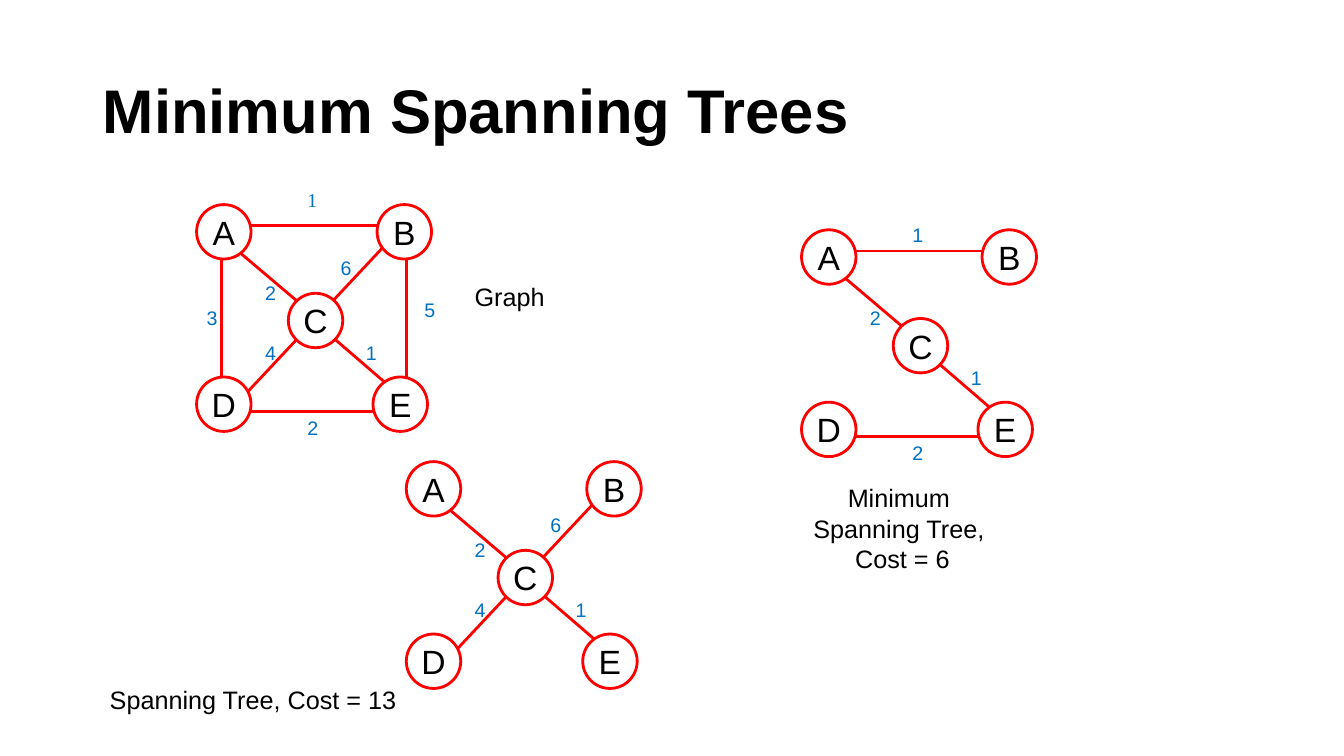
from pptx import Presentation
from pptx.dml.color import RGBColor
from pptx.enum.shapes import MSO_CONNECTOR, MSO_SHAPE
from pptx.enum.text import MSO_ANCHOR, MSO_AUTO_SIZE, PP_ALIGN
from pptx.oxml.ns import qn
from pptx.util import Inches, Pt
from lxml.etree import SubElement

COLORS = {"text": "000000", "weight": "0070C0", "line": "FF0000", "node": "FFFFFF"}
NODE_SIZE = 0.54

# Every drawing shares one layout, measured from the top left of node A.
NODES = {"A": (0, 0), "B": (1.79, 0), "C": (0.91, 0.88), "D": (0, 1.71), "E": (1.75, 1.71)}
# Edge: start, end, and its weights with their places; D-B runs behind C.
EDGES = {
    "CE": ((1.91, 1.8), (1.33, 1.3), [("1", 1.58, 1.3)]),
    "AB": ((0.5, 0.21), (1.81, 0.21), [("1", 1, -0.12)]),
    "AD": ((0.25, 1.78), (0.25, 0.46), [("3", 0, 0.96)]),
    "DB": ((0.41, 1.96), (1.89, 0.38), [("6", 1.33, 0.46), ("4", 0.58, 1.3)]),
    "AC": ((1, 0.96), (0.41, 0.46), [("2", 0.58, 0.71)]),
    "DE": ((0.5, 2.05), (1.81, 2.05), [("2", 1, 2.05)]),
    "BE": ((2.08, 1.86), (2.08, 0.55), [("5", 2.16, 0.88)]),
}


class GraphSlide:
    def __init__(self, deck):
        self.font = "Arial"
        self.slide = deck.slides.add_slide(deck.slide_layouts[5])

    def style_text(self, frame, size, color, align=PP_ALIGN.LEFT, bold=False, font=None):
        for para in frame.paragraphs:
            para.alignment = align
            for span in para.runs:
                span.font.name = font or self.font
                span.font.size = Pt(size)
                span.font.bold = bold
                span.font.color.rgb = RGBColor.from_string(COLORS[color])

    def style_line(self, line):
        line.color.rgb = RGBColor.from_string(COLORS["line"])
        line.width = Pt(2)

    def title(self, text, left, top, width, height):
        title = self.slide.shapes.title
        title.left, title.top = Inches(left), Inches(top)
        title.width, title.height = Inches(width), Inches(height)
        frame = title.text_frame
        frame.text = text
        frame.vertical_anchor = MSO_ANCHOR.MIDDLE
        frame.paragraphs[0].line_spacing = 0.9
        self.style_text(frame, 44, "text", bold=True)

    def label(self, text, left, top, width, height, size=18, color="text",
              align=PP_ALIGN.LEFT, font=None, shapes=None):
        box = (shapes or self.slide.shapes).add_textbox(
            Inches(left), Inches(top), Inches(width), Inches(height))
        frame = box.text_frame
        frame.text = text
        frame.word_wrap = False
        frame.auto_size = MSO_AUTO_SIZE.SHAPE_TO_FIT_TEXT
        self.style_text(frame, size, color, align, font=font)

    def edge(self, shapes, start, end):
        line = shapes.add_connector(MSO_CONNECTOR.STRAIGHT,
                                    *(Inches(value) for value in (*start, *end)))
        self.style_line(line.line)
        SubElement(line._element.spPr, qn("a:effectLst"))

    def node(self, shapes, name, left, top):
        circle = shapes.add_shape(MSO_SHAPE.OVAL, Inches(left), Inches(top),
                                  Inches(NODE_SIZE), Inches(NODE_SIZE))
        circle.shadow.inherit = False
        circle.fill.solid()
        circle.fill.fore_color.rgb = RGBColor.from_string(COLORS["node"])
        self.style_line(circle.line)
        frame = circle.text_frame
        frame.text = name
        frame.word_wrap = False
        frame.vertical_anchor = MSO_ANCHOR.MIDDLE
        self.style_text(frame, 24, "text", PP_ALIGN.CENTER)

    def graph(self, left, top, edges, special_weights=None):
        """Draw all nodes and the chosen edges; special_weights maps an edge to (font, rise)."""
        shapes = self.slide.shapes.add_group_shape().shapes
        for edge in edges:
            (x1, y1), (x2, y2), _ = EDGES[edge]
            self.edge(shapes, (left + x1, top + y1), (left + x2, top + y2))
        for name, (x, y) in NODES.items():
            self.node(shapes, name, left + x, top + y)
        for edge in edges:
            font, rise = (special_weights or {}).get(edge, (self.font, 0))
            for weight, x, y in EDGES[edge][2]:
                self.label(weight, left + x, top + y - rise, 0.31, 0.34, 14, "weight",
                           font=font, shapes=shapes)


def main():
    deck = Presentation()
    deck.slide_width, deck.slide_height = Inches(13.33), Inches(7.5)
    page = GraphSlide(deck)
    page.title("Minimum Spanning Trees", 0.92, 0.4, 11.5, 1.45)
    page.graph(7.95, 2.28, ["CE", "AB", "AC", "DE"])
    page.graph(4.03, 4.58, ["CE", "DB", "AC"])
    page.label("Graph", 4.61, 2.74, 0.9, 0.4)
    page.label("Spanning Tree, Cost = 13", 0.99, 6.74, 3.07, 0.4)
    page.label("Minimum \nSpanning Tree, \nCost = 6", 7.96, 4.74, 1.98, 1.01,
               align=PP_ALIGN.CENTER)
    page.graph(1.95, 2.03, EDGES, {"AB": ("Times New Roman", 0.09)})
    deck.save("out.pptx")


if __name__ == "__main__":
    main()
